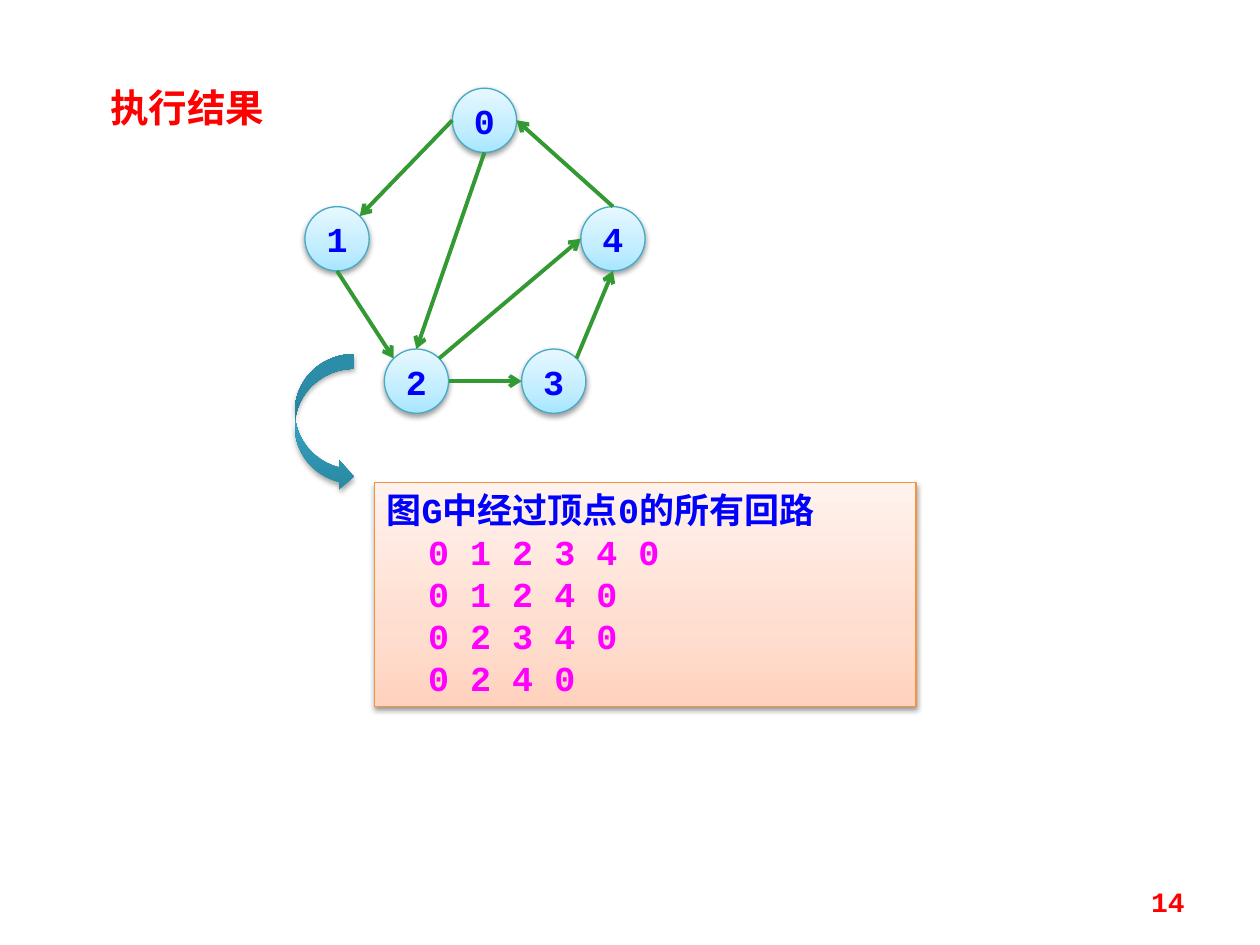
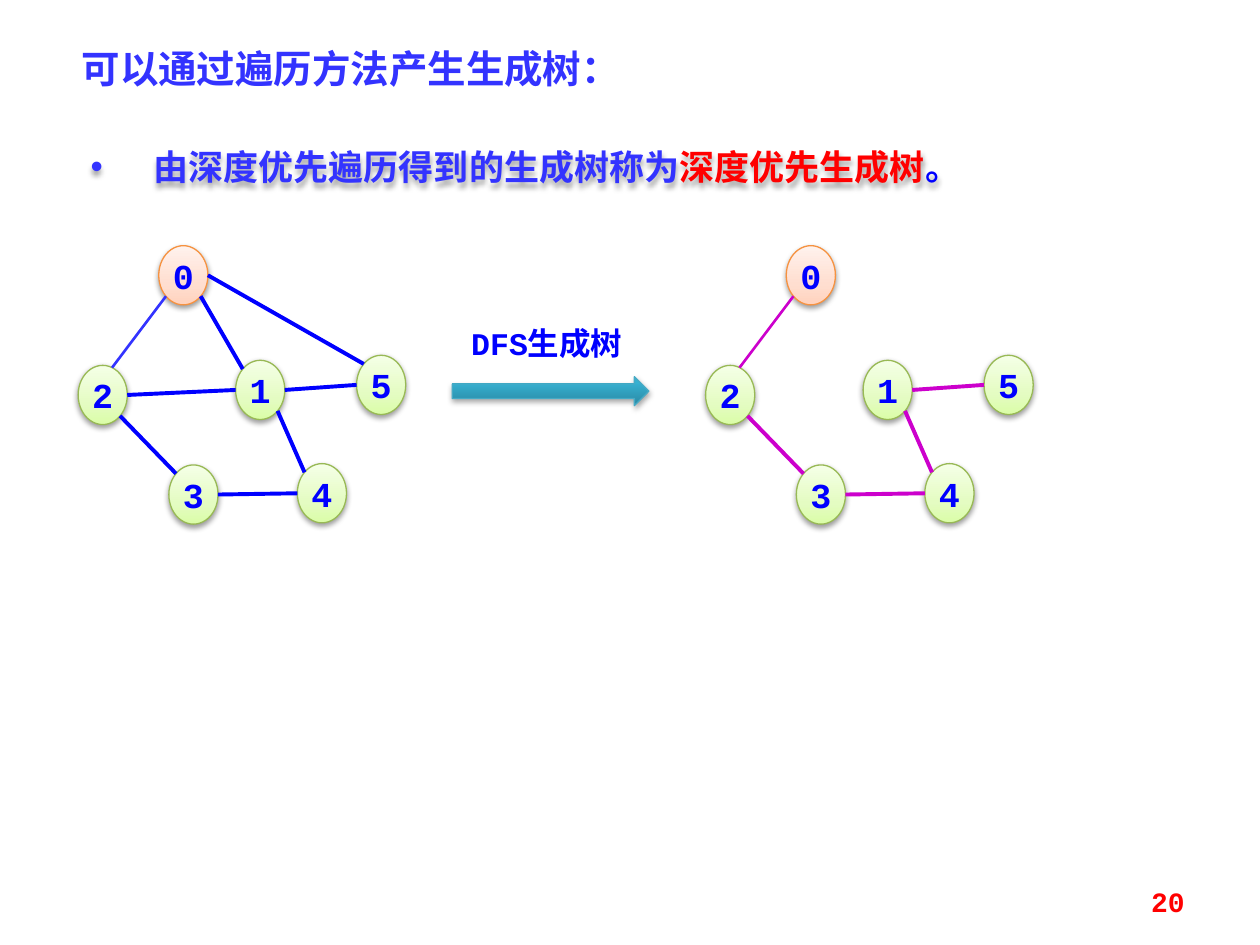
import math
from dataclasses import dataclass

from lxml import etree
from pptx import Presentation
from pptx import util as u
from pptx.dml.color import RGBColor
from pptx.enum import shapes, text
from pptx.oxml.ns import qn

PX = 9144  # 100 px to the inch
MSO, ALIGN, ANCHOR = shapes.MSO_SHAPE, text.PP_ALIGN, text.MSO_ANCHOR


@dataclass(frozen=True)
class Paint:
    stops: tuple  # (percent, colour), counted from the bottom up
    line: str
    shadow: tuple  # opacity percent, distance in EMU


@dataclass(frozen=True)
class Theme:
    mono: str = "Courier New"
    serif: str = "Times New Roman"
    cjk: str = "Noto Sans CJK SC"
    blue: str = "0000FF"
    violet: str = "3333FF"
    red: str = "FF0000"
    pink: str = "FF00FF"
    purple: str = "CC00CC"
    green: str = "339933"
    title: int = 22
    body: int = 20
    label: int = 18
    page: int = 16
    thick: float = 2.25
    thin: float = 1.5
    soft: tuple = (38, 20000)
    strong: tuple = (35, 23000)


T = Theme()
PEACH = Paint(((0, "FFD2BD"), (35, "FFDED0"), (100, "FFF2ED")), "F69240", T.soft)
SKY = Paint(((0, "A7E6FF"), (35, "C1EDFF"), (100, "E7F8FF")), "46AAC5", T.soft)
LIME = Paint(((0, "DAFDA7"), (35, "E4FCC2"), (100, "F5FFE7")), "98B955", T.soft)
TEAL = Paint(((0, "2A88A2"), (80, "37B1D2"), (100, "34B4D6")), "46AAC5", T.strong)


def sub(parent, tag, **attrs):
    return etree.SubElement(parent, qn(tag), {k: str(v) for k, v in attrs.items()})


def add_shadow(sp, opacity, distance):
    sp.shadow.inherit = False
    effects = sp._element.spPr.find(qn("a:effectLst"))
    outer = sub(effects, "a:outerShdw", blurRad=40000, dist=distance, dir=5400000, rotWithShape=0)
    sub(sub(outer, "a:srgbClr", val="000000"), "a:alpha", val=opacity * 1000)


def set_line(line, color, width):
    line.color.rgb = RGBColor.from_string(color)
    line.width = u.Pt(width)


def add_painted(parent, kind, box, paint, outlined=True):
    """Add a preset shape with a gradient, outline and shadow."""
    sp = parent.add_shape(kind, *(v * PX for v in box))
    sp.fill.gradient()
    sp.fill.gradient_angle = 90
    stops = next(sp._element.spPr.iter(qn("a:gsLst")))
    stops.clear()
    for percent, color in paint.stops:
        sub(sub(stops, "a:gs", pos=percent * 1000), "a:srgbClr", val=color)
    if outlined:
        set_line(sp.line, paint.line, 0.75)
    else:
        sp.line.fill.background()
    add_shadow(sp, *paint.shadow)
    return sp


def write(sp, *paras, size=T.body, font=T.mono, color=T.blue, align=ALIGN.LEFT,
          anchor=ANCHOR.TOP, wrap=True, spacing=None, bullet=None):
    """Fill a shape; a paragraph is a string or a list of (text, colour) runs."""
    tf = sp.text_frame
    tf.word_wrap, tf.vertical_anchor = wrap, anchor
    for i, para in enumerate(paras):
        p = tf.add_paragraph() if i else tf.paragraphs[0]
        if bullet:
            pPr = p._p.get_or_add_pPr()
            pPr.set("marL", str(50 * PX))
            pPr.set("indent", str(-50 * PX))
            sub(pPr, "a:buFont", typeface="Arial")
            sub(pPr, "a:buChar", char=bullet)
        p.alignment, p.line_spacing = align, spacing
        for words, ink in [(para, color)] if isinstance(para, str) else para:
            r = p.add_run()
            r.text = words
            r.font.size, r.font.bold, r.font.name = u.Pt(size), True, font
            r.font.color.rgb = RGBColor.from_string(ink)
            sub(r._r.get_or_add_rPr(), "a:ea", typeface=T.cjk)
    return sp


def add_text(parent, box, *paras, **fmt):
    return write(parent.add_textbox(*(v * PX for v in box)), *paras, **fmt)


def site(node, k):
    """Point on an ellipse, k eighths of a turn anticlockwise from its top."""
    rx, ry = node.width / 2, node.height / 2
    turn = k * math.pi / 4
    return (round(node.left + rx - rx * math.sin(turn)),
            round(node.top + ry - ry * math.cos(turn)))


def add_edge(parent, start, k1, end, k2, color, arrow):
    """Join two nodes at their ellipse connection sites."""
    c = parent.add_connector(shapes.MSO_CONNECTOR.STRAIGHT, *site(start, k1), *site(end, k2))
    set_line(c.line, color, T.thick)
    if arrow:
        sub(c.line._get_or_add_ln(), "a:tailEnd", type="arrow")
    sub(c._element.spPr, "a:effectLst")
    joints = c._element.nvCxnSpPr.cNvCxnSpPr
    sub(joints, "a:stCxn", id=start.shape_id, idx=k1)
    sub(joints, "a:endCxn", id=end.shape_id, idx=k2)


def add_graph(parent, x, y, places, size, edges, color, paint, root_paint=None, arrow=False):
    """Draw numbered nodes and (node, site, node, site) edges; return the nodes."""
    nodes = []
    for i, (dx, dy) in enumerate(places):
        fill = root_paint if root_paint and i == 0 else paint
        node = add_painted(parent, MSO.OVAL, (x + dx, y + dy, *size), fill)
        nodes.append(write(node, str(i), align=ALIGN.CENTER, anchor=ANCHOR.MIDDLE, wrap=False))
    for a, k1, b, k2 in edges:
        add_edge(parent, nodes[a], k1, nodes[b], k2, color, arrow)
    return nodes


def add_search_graph(parent, x, y, edges, color, first_color):
    """Draw the six-node graph, whose edge 0-2 is a thinner line."""
    places = [(64, 0), (125, 91), (0, 95), (72, 174), (174, 173), (221, 87)]
    nodes = add_graph(parent, x, y, places, (39, 47), edges, color, LIME, PEACH)
    path_line = parent.build_freeform(*site(nodes[0], 3), scale=1.0)
    path_line.add_line_segments([site(nodes[2], 7.5)], close=False)
    sp = path_line.convert_to_shape()
    sp.fill.background()
    set_line(sp.line, first_color, T.thin)
    sp.shadow.inherit = False


def add_results(parent, box, heading, *cycles):
    sp = add_painted(parent, MSO.RECTANGLE, box, PEACH)
    write(sp, heading, *([(cycle, T.pink)] for cycle in cycles))
    for p in sp.text_frame.paragraphs[1:]:
        p._p.get_or_add_pPr().set("marL", str(33 * PX))


def add_arrow_label(parent, x, y, label):
    add_painted(parent, MSO.RIGHT_ARROW, (x + 15, y + 47, 156, 23), TEAL)
    add_text(parent, (x, y, 180, 40), label, size=T.label, align=ALIGN.CENTER)


def new_slide(prs, number):
    s = prs.slides.add_slide(prs.slide_layouts[6])
    add_text(s.shapes, (717, 695, 233, 40), number, size=T.page, color=T.red,
             align=ALIGN.RIGHT, anchor=ANCHOR.MIDDLE)
    return s.shapes


def cycles_slide(prs):
    sh = new_slide(prs, "14")
    add_results(sh, (297, 383, 430, 178), "图G中经过顶点0的所有回路",
                "0 1 2 3 4 0", "0 1 2 4 0", "0 2 3 4 0", "0 2 4 0")
    places = [(117, 0), (0, 94), (63, 207), (172, 207), (219, 94)]
    edges = [(0, 2, 1, 7), (1, 4, 2, 1), (2, 6, 3, 2), (3, 7, 4, 4),
             (4, 0, 0, 6), (0, 4, 2, 0), (2, 7, 4, 2)]
    add_graph(sh.add_group_shape().shapes, 242, 70, places, (51, 51), edges,
              T.green, SKY, arrow=True)
    add_painted(sh, MSO.CURVED_RIGHT_ARROW, (234, 281, 47, 109), TEAL, outlined=False)
    add_text(sh, (47, 62, 203, 47), "执行结果", size=T.title, font=T.cjk,
             color=T.red, align=ALIGN.CENTER)


def spanning_tree_slide(prs):
    sh = new_slide(prs, "20")
    rule = [("由深度优先遍历得到的生成树称为", T.violet), ("深度优先生成树", T.red), ("。", T.blue)]
    sp = add_text(sh, (62, 94, 852, 54), rule, font=T.serif, align=ALIGN.JUSTIFY,
                  spacing=1.5, bullet="•")
    add_shadow(sp, *T.strong)
    add_text(sh, (55, 31, 758, 47), "可以通过遍历方法产生生成树：", size=T.title,
             font=T.serif, color=T.violet)
    tree = [(2, 5, 3, 1), (1, 6, 5, 2), (1, 5, 4, 1), (3, 6, 4, 2)]
    others = [(0, 5, 1, 1), (2, 6, 1, 2), (0, 6, 5, 1)]
    add_search_graph(sh, 62, 195, tree + others, T.blue, T.violet)
    add_search_graph(sh.add_group_shape().shapes, 560, 195, tree, T.purple, T.purple)
    add_arrow_label(sh.add_group_shape().shapes, 344, 252, "DFS生成树")


def main():
    prs = Presentation()
    prs.slide_width, prs.slide_height = 1000 * PX, 750 * PX
    cycles_slide(prs)
    spanning_tree_slide(prs)
    prs.save("out.pptx")


if __name__ == "__main__":
    main()
